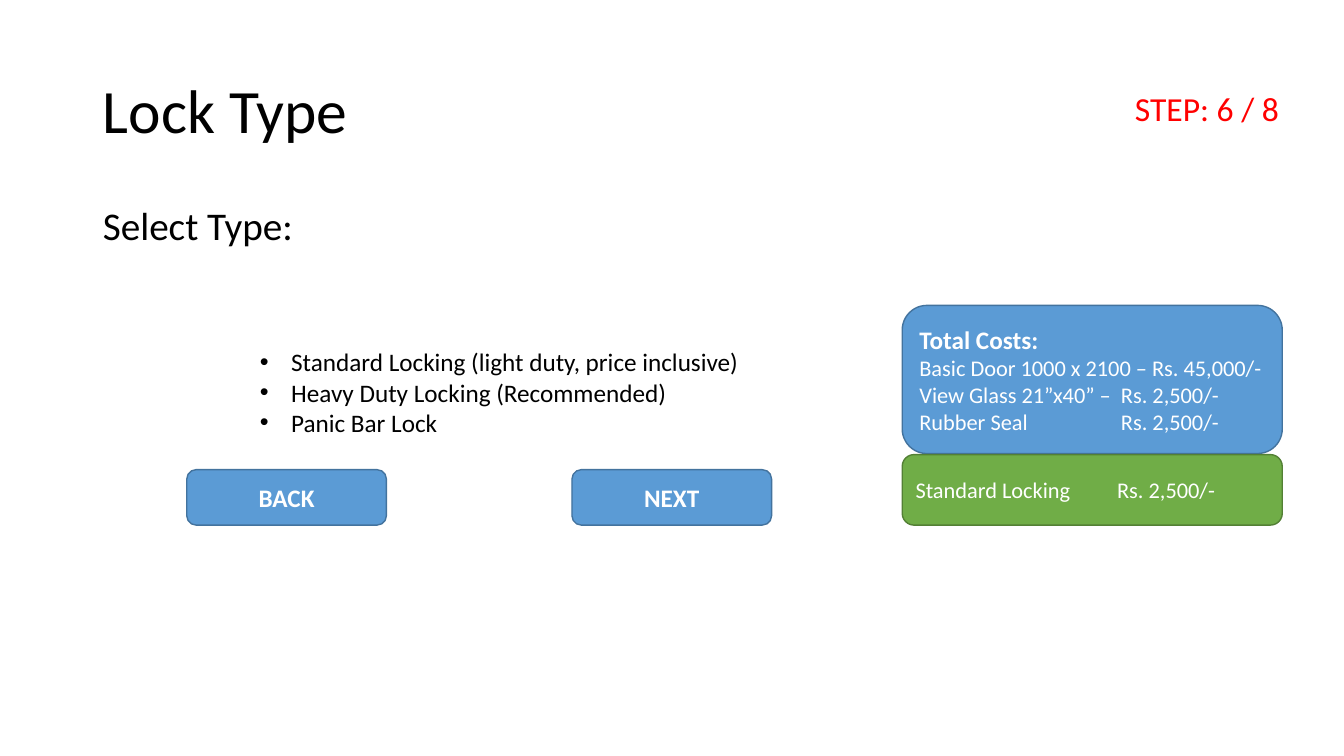
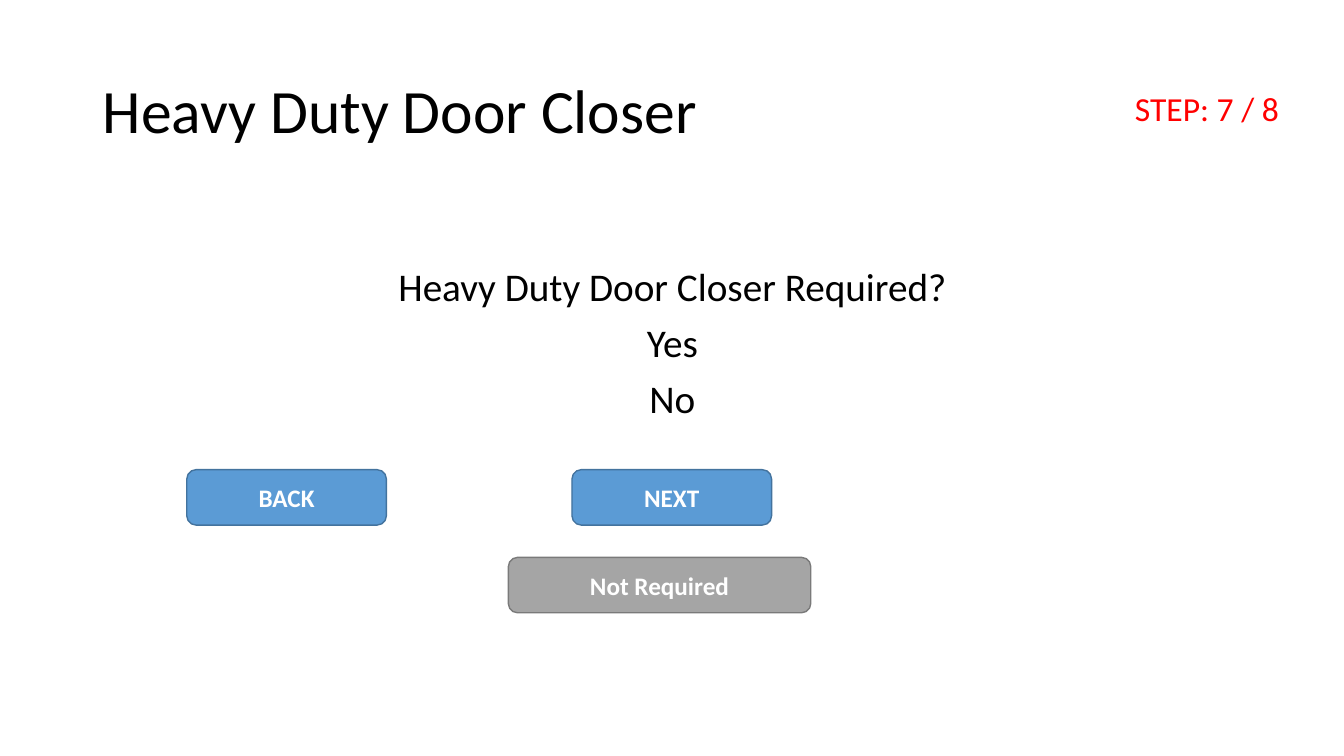
from dataclasses import dataclass, replace

import lxml.etree
import pptx
import pptx.dml.color
import pptx.enum.shapes
import pptx.enum.text
import pptx.oxml.ns
import pptx.presentation
import pptx.shapes.base
import pptx.slide
import pptx.text.text
import pptx.util

SLIDE_WIDTH = pptx.util.Inches(13.333)
SLIDE_HEIGHT = pptx.util.Inches(7.5)
FONT = "Calibri"
COLORS = {
    "text": "000000",
    "light": "FFFFFF",
    "step": "FF0000",
    "blue": "5B9BD5",
    "blue_line": "43739E",
    "green": "70AD47",
    "green_line": "538035",
    "gray": "A5A5A5",
    "gray_line": "7A7A7A",
}
LEFT = pptx.enum.text.PP_ALIGN.LEFT
CENTER = pptx.enum.text.PP_ALIGN.CENTER
MIDDLE = pptx.enum.text.MSO_ANCHOR.MIDDLE
TOP = pptx.enum.text.MSO_ANCHOR.TOP
TAB_SPACING = pptx.util.Inches(1)
PRICE_TAB = 2 * TAB_SPACING
BULLET_INDENT = pptx.util.Inches(0.31)
STEP_COUNT = 8


@dataclass(frozen=True)
class Area:
    """Percentages of the slide's width and height."""

    left: float
    top: float
    width: float
    height: float


@dataclass(frozen=True)
class TextStyle:
    size: float
    color: str = "text"
    alignment: pptx.enum.text.PP_ALIGN = LEFT
    anchor: pptx.enum.text.MSO_ANCHOR = TOP
    bold: bool = False
    line_spacing: float = 1.0
    space_before: float = 0
    bullet: bool = False
    tabbed: bool = False


@dataclass(frozen=True)
class Panel:
    area: Area
    lines: tuple[str, ...]
    color: str
    style: TextStyle
    heading: bool = False


@dataclass(frozen=True)
class StepPage:
    step: int
    title: str
    body: tuple[str, ...]
    body_area: Area
    body_alignment: pptx.enum.text.PP_ALIGN
    panels: tuple[Panel, ...]
    options: tuple[str, ...] = ()


TITLE_STYLE = TextStyle(44, anchor=MIDDLE, line_spacing=0.9)
BODY_STYLE = TextStyle(28, line_spacing=0.9, space_before=10)
OPTION_STYLE = TextStyle(18, bullet=True)
STEP_STYLE = TextStyle(24, "step")
BUTTON_STYLE = TextStyle(18, "light", CENTER, MIDDLE, bold=True)
COST_STYLE = TextStyle(16, "light", anchor=MIDDLE, tabbed=True)
HEADING_SIZE = 18

TITLE_AREA = Area(6.9, 5.33, 86.25, 19.33)
BODY_AREA = Area(6.9, 26.67, 86.25, 63.47)
QUESTION_AREA = Area(6.9, 34.7, 86.25, 55.44)
OPTIONS_AREA = Area(18.6, 45.2, 37.58, 17.47)
STEP_AREA = Area(83.7, 10.93, 12.3, 6.67)
NEXT_AREA = Area(42.56, 62.13, 14.85, 7.33)
BACK_AREA = replace(NEXT_AREA, left=13.9)
SKIP_AREA = Area(37.83, 73.73, 22.5, 7.33)
COSTS_AREA = Area(67.13, 40.4, 28.28, 19.6)
CHOICE_AREA = replace(COSTS_AREA, top=60.13, height=9.33)

NAVIGATION = (
    Panel(NEXT_AREA, ("NEXT",), "blue", BUTTON_STYLE),
    Panel(BACK_AREA, ("BACK",), "blue", BUTTON_STYLE),
)
PAGES = (
    StepPage(
        6,
        "Lock Type",
        ("Select Type:",),
        BODY_AREA,
        LEFT,
        (
            Panel(
                COSTS_AREA,
                (
                    "Total Costs:",
                    "Basic Door 1000 x 2100 – Rs. 45,000/-",
                    "View Glass 21”x40” – \tRs. 2,500/-",
                    "Rubber Seal\tRs. 2,500/-",
                ),
                "blue",
                COST_STYLE,
                heading=True,
            ),
            Panel(CHOICE_AREA, ("Standard Locking\tRs. 2,500/-",), "green", COST_STYLE),
        ),
        (
            "Standard Locking (light duty, price inclusive)",
            "Heavy Duty Locking (Recommended)",
            "Panic Bar Lock",
        ),
    ),
    StepPage(
        7,
        "Heavy Duty Door Closer",
        ("Heavy Duty Door Closer Required?", "Yes", "No"),
        QUESTION_AREA,
        CENTER,
        (Panel(SKIP_AREA, ("Not Required",), "gray", BUTTON_STYLE),),
    ),
)


def rgb(name: str) -> pptx.dml.color.RGBColor:
    return pptx.dml.color.RGBColor.from_string(COLORS[name])


def bounds(area: Area) -> tuple[int, int, int, int]:
    return (
        round(SLIDE_WIDTH * area.left / 100),
        round(SLIDE_HEIGHT * area.top / 100),
        round(SLIDE_WIDTH * area.width / 100),
        round(SLIDE_HEIGHT * area.height / 100),
    )


def place(shape: pptx.shapes.base.BaseShape, area: Area) -> None:
    shape.left, shape.top, shape.width, shape.height = bounds(area)


def add_property(parent: lxml.etree.ElementBase, tag: str, **attributes: str) -> lxml.etree.ElementBase:
    return lxml.etree.SubElement(parent, pptx.oxml.ns.qn(tag), attributes)


def set_tab_spacing(presentation: pptx.presentation.Presentation) -> None:
    for root in (presentation.element, presentation.slide_master.element):
        for properties in root.xpath(".//*[@defTabSz]"):
            properties.set("defTabSz", str(TAB_SPACING))


def format_paragraph(paragraph: pptx.text.text._Paragraph, style: TextStyle) -> None:
    paragraph.alignment = style.alignment
    paragraph.line_spacing = style.line_spacing
    paragraph.space_before = pptx.util.Pt(style.space_before)
    properties = paragraph._p.get_or_add_pPr()
    indent = BULLET_INDENT if style.bullet else 0
    properties.set("marL", str(indent))
    properties.set("indent", str(-indent))
    if style.bullet:
        add_property(properties, "a:buFont", typeface="Arial")
        add_property(properties, "a:buChar", char="•")
    else:
        add_property(properties, "a:buNone")
    if style.tabbed:
        properties.set("defTabSz", str(TAB_SPACING))
        tabs = add_property(properties, "a:tabLst")
        add_property(tabs, "a:tab", pos=str(PRICE_TAB), algn="l")
    for run in paragraph.runs:
        run.font.name = FONT
        run.font.size = pptx.util.Pt(style.size)
        run.font.bold = style.bold
        run.font.color.rgb = rgb(style.color)


def write_text(
    frame: pptx.text.text.TextFrame, lines: tuple[str, ...], style: TextStyle, wrap: bool = True
) -> None:
    frame.text = "\n".join(lines)
    frame.word_wrap = wrap
    frame.vertical_anchor = style.anchor
    for paragraph in frame.paragraphs:
        format_paragraph(paragraph, style)


def add_text(
    slide: pptx.slide.Slide, area: Area, lines: tuple[str, ...], style: TextStyle, wrap: bool = True
) -> None:
    write_text(slide.shapes.add_textbox(*bounds(area)).text_frame, lines, style, wrap)


def add_panel(slide: pptx.slide.Slide, panel: Panel) -> None:
    shape = slide.shapes.add_shape(
        pptx.enum.shapes.MSO_SHAPE.ROUNDED_RECTANGLE, *bounds(panel.area)
    )
    shape.shadow.inherit = False
    shape.fill.solid()
    shape.fill.fore_color.rgb = rgb(panel.color)
    shape.line.color.rgb = rgb(f"{panel.color}_line")
    shape.line.width = pptx.util.Pt(1)
    write_text(shape.text_frame, panel.lines, panel.style)
    if panel.heading:
        heading_font = shape.text_frame.paragraphs[0].runs[0].font
        heading_font.size = pptx.util.Pt(HEADING_SIZE)
        heading_font.bold = True


def add_page(presentation: pptx.presentation.Presentation, page: StepPage) -> None:
    slide = presentation.slides.add_slide(presentation.slide_layouts[1])
    title, body = slide.shapes.title, slide.placeholders[1]
    place(title, TITLE_AREA)
    write_text(title.text_frame, (page.title,), TITLE_STYLE)
    place(body, page.body_area)
    write_text(body.text_frame, page.body, replace(BODY_STYLE, alignment=page.body_alignment))
    for panel in NAVIGATION + page.panels:
        add_panel(slide, panel)
    if page.options:
        add_text(slide, OPTIONS_AREA, page.options, OPTION_STYLE)
    add_text(slide, STEP_AREA, (f"STEP: {page.step} / {STEP_COUNT}",), STEP_STYLE, wrap=False)


def main() -> None:
    presentation = pptx.Presentation()
    presentation.slide_width = SLIDE_WIDTH
    presentation.slide_height = SLIDE_HEIGHT
    set_tab_spacing(presentation)
    for page in PAGES:
        add_page(presentation, page)
    presentation.save("out.pptx")


if __name__ == "__main__":
    main()
